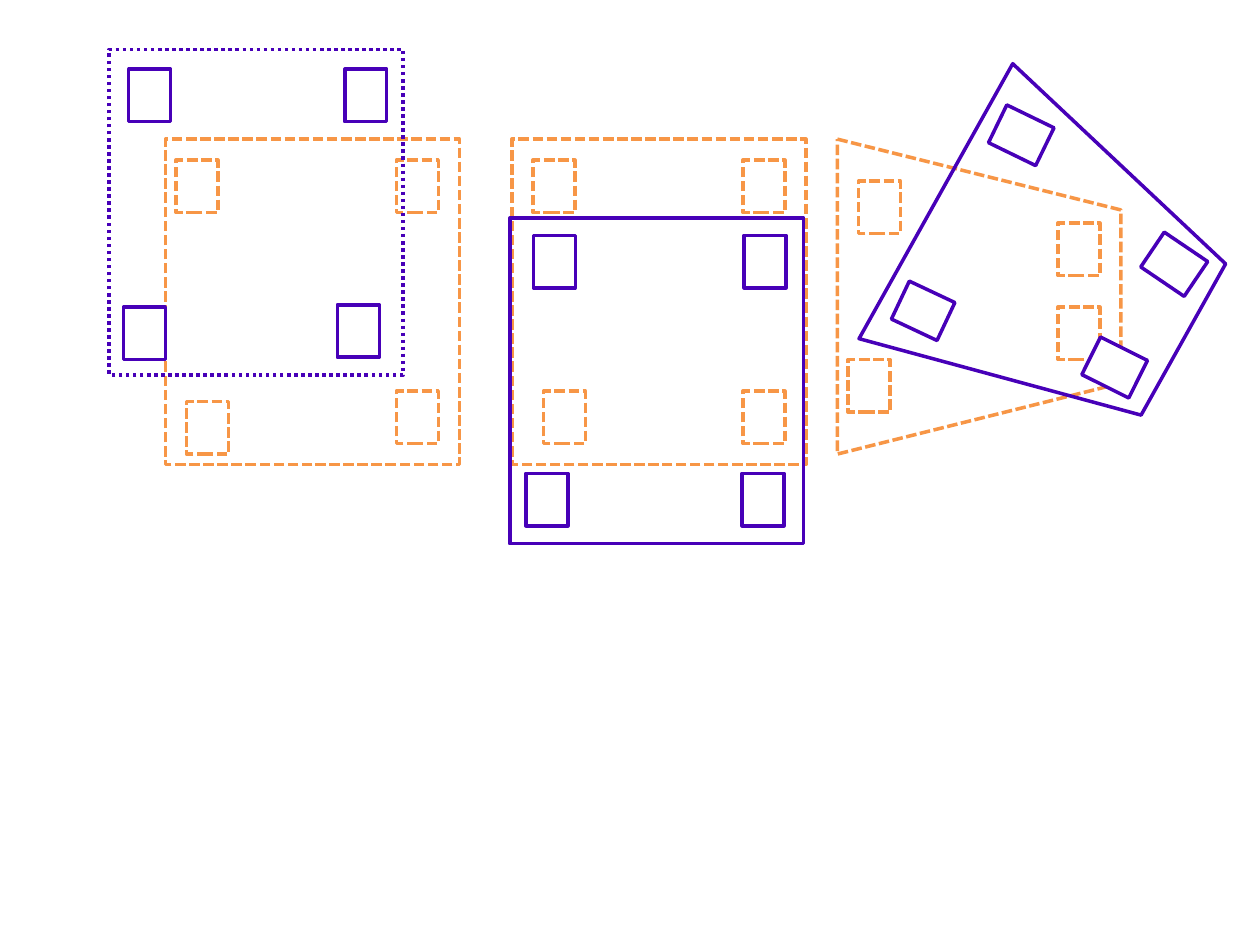
from dataclasses import dataclass

from pptx import Presentation
from pptx import util as u
from pptx.dml.color import RGBColor
from pptx.enum import dml, shapes

ORANGE = RGBColor(0xF7, 0x96, 0x46)
PURPLE = RGBColor(0x47, 0x00, 0xB8)
WHITE = RGBColor(0xFF, 0xFF, 0xFF)
RECT = shapes.MSO_SHAPE.RECTANGLE
TRAPEZOID = shapes.MSO_SHAPE.TRAPEZOID
DASHED = dml.MSO_LINE.SQUARE_DOT
DOTTED = dml.MSO_LINE.ROUND_DOT
SOLID = dml.MSO_LINE.SOLID


@dataclass(frozen=True)
class Style:
    color: RGBColor
    dash: dml.MSO_LINE
    filled: bool


@dataclass(frozen=True)
class Box:
    x: float
    y: float
    w: float = 24
    h: float = 30
    rot: float = 0
    kind: shapes.MSO_SHAPE = RECT


def panel(x: float, y: float) -> Box:
    return Box(x, y, 168, 186)


def trapezoid(x: float, y: float, rot: float) -> Box:
    return Box(x, y, 180, 162, rot, TRAPEZOID)


BEFORE = Style(ORANGE, DASHED, True)
MARKER = Style(PURPLE, SOLID, True)
OUTLINE = Style(PURPLE, SOLID, False)
DOTTED_OUTLINE = Style(PURPLE, DOTTED, False)

LAYERS = [
    (BEFORE, [
        trapezoid(469.5, 88.5, 90),
        Box(490.5, 103.5), Box(604.5, 175.5), Box(604.5, 127.5), Box(484.5, 205.5),
        panel(292.5, 79.5), panel(94.5, 79.5),
        Box(226.5, 91.5), Box(424.5, 91.5), Box(424.5, 223.5), Box(310.5, 223.5),
        Box(100.5, 91.5), Box(106.5, 229.5), Box(226.5, 223.5), Box(304.5, 91.5),
    ]),
    (DOTTED_OUTLINE, [panel(62.4, 28.3)]),
    (OUTLINE, [panel(291.3, 124.7), trapezoid(515.5, 73.5, 119.2)]),
    (MARKER, [
        Box(73.5, 39.6), Box(197, 39.6), Box(192.8, 174.2), Box(70.5, 175.5),
        Box(304.8, 134.5), Box(424, 270.5), Box(300.5, 270.5), Box(425.2, 134.5),
        Box(625, 195, rot=296.5), Box(571.5, 62.3, rot=115.9),
        Box(659, 136, rot=304.1), Box(515.5, 163.2, h=28.8, rot=115.2),
    ]),
]


def draw_box(s, box: Box, style: Style) -> None:
    sp = s.shapes.add_shape(box.kind, *map(u.Pt, (box.x, box.y, box.w, box.h)))
    sp.rotation = box.rot
    sp.shadow.inherit = False
    if style.filled:
        sp.fill.solid()
        sp.fill.fore_color.rgb = WHITE
    else:
        sp.fill.background()
    sp.line.color.rgb = style.color
    for name, value in {"width": u.Pt(2), "dash_style": style.dash}.items():
        setattr(sp.line, name, value)


def main() -> None:
    prs = Presentation()
    prs.slide_width, prs.slide_height = u.Pt(720), u.Pt(540)
    s = prs.slides.add_slide(prs.slide_layouts[6])
    for style, boxes in LAYERS:
        for box in boxes:
            draw_box(s, box, style)
    prs.save("out.pptx")


if __name__ == "__main__":
    main()
